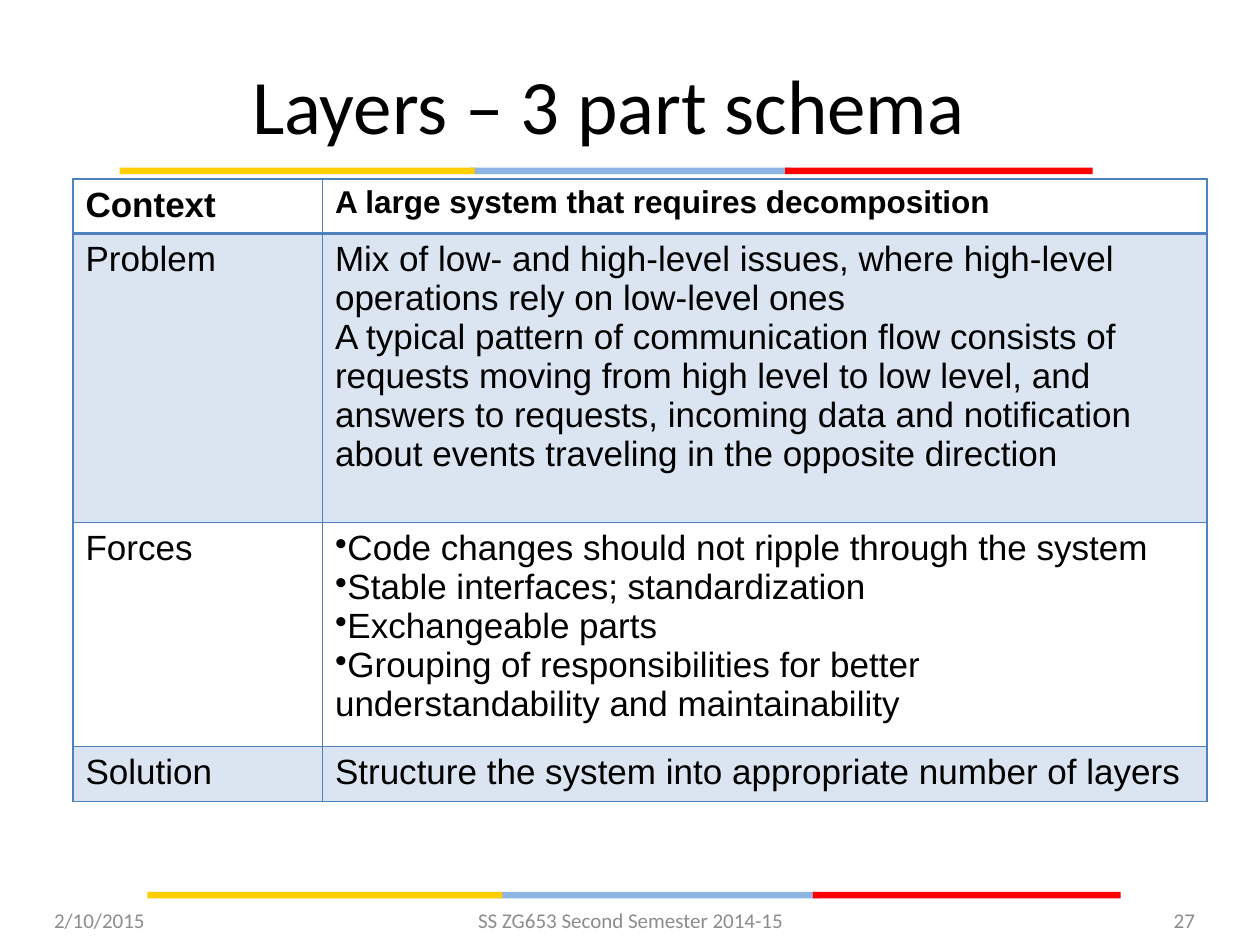
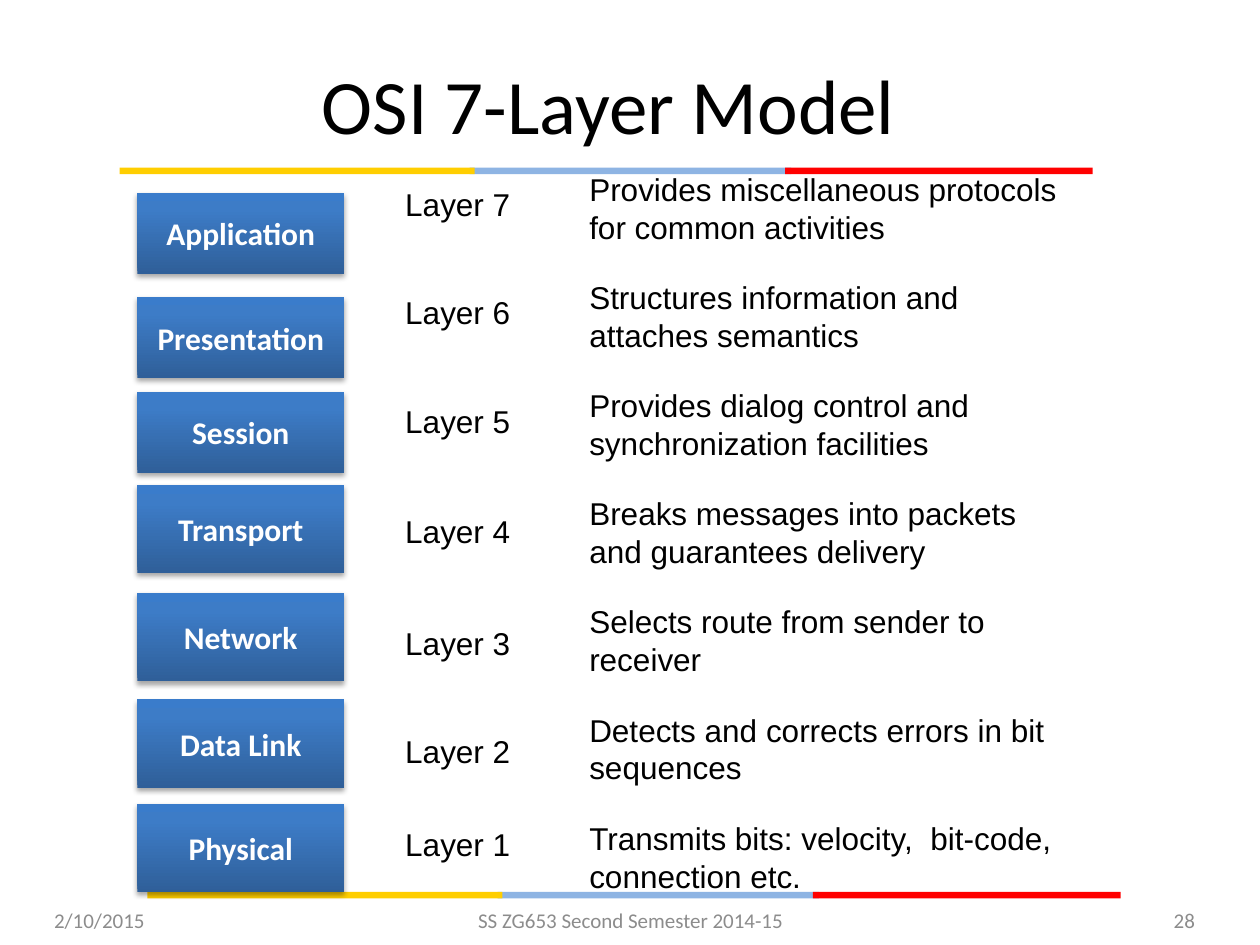
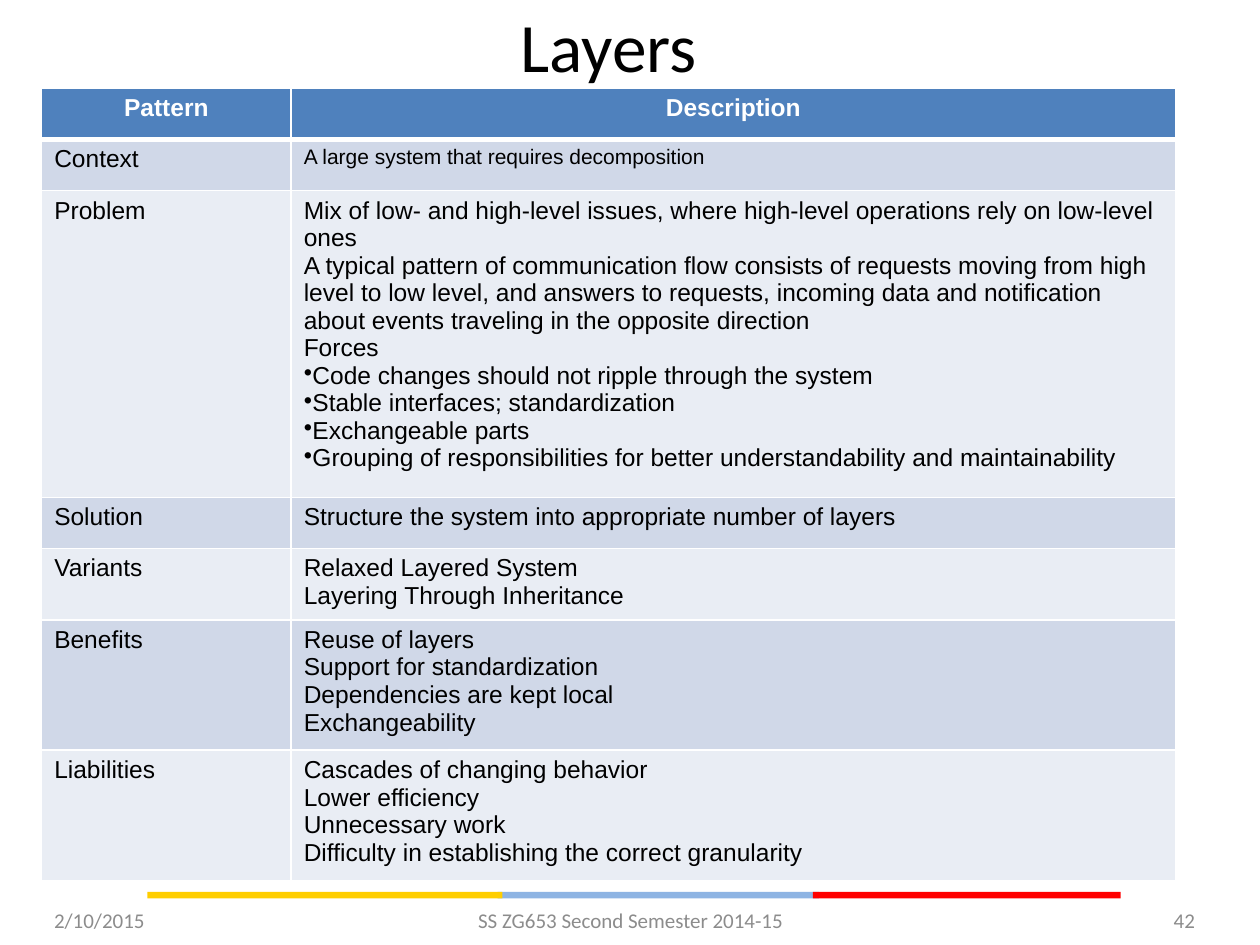
import copy
from collections import namedtuple

import pptx
import pptx.dml.color
import pptx.enum.shapes
import pptx.enum.text
import pptx.oxml
import pptx.oxml.ns
import pptx.util

Cm = pptx.util.Cm
Pt = pptx.util.Pt
RGB = pptx.dml.color.RGBColor
ALIGN = pptx.enum.text.PP_ALIGN
ANCHOR = pptx.enum.text.MSO_ANCHOR
Box = namedtuple("Box", "left top width height")

BLACK = RGB(0x00, 0x00, 0x00)
WHITE = RGB(0xFF, 0xFF, 0xFF)
GREY = RGB(0x8C, 0x8C, 0x8C)
YELLOW = RGB(0xFF, 0xCE, 0x00)
SKY = RGB(0x8E, 0xB4, 0xE3)
RED = RGB(0xFF, 0x00, 0x00)
BLUE = RGB(0x4F, 0x81, 0xBD)
BAND_DARK = RGB(0xD0, 0xD8, 0xE8)
BAND_LIGHT = RGB(0xE9, 0xED, 0xF4)
LAYER_GRADIENT = [
    (0, RGB(0x2F, 0x5F, 0x99)),
    (0.8, RGB(0x3D, 0x7C, 0xC7)),
    (1, RGB(0x3A, 0x7C, 0xCB)),
]

TITLE_BOX = Box(0.84, 0.79, 22.86, 2.62)
HIGH_TITLE_BOX = Box(0.84, 0.2, 22.86, 1.42)
FOOTER_BOX = Box(0.84, 18.03, 23.5, 1.02)
TABLE_COLUMNS = (5.03, 17.83)
ROW_HEIGHT = 1.03

CONTEXT = "A large system that requires decomposition"
PROBLEM = [
    "Mix of low- and high-level issues, where high-level operations rely on low-level ones",
    "A typical pattern of communication flow consists of requests moving from high level "
    "to low level, and answers to requests, incoming data and notification about events "
    "traveling in the opposite direction",
]
FORCES = [
    "•Code changes should not ripple through the system",
    "•Stable interfaces; standardization",
    "•Exchangeable parts",
    "•Grouping of responsibilities for better understandability and maintainability",
]
SOLUTION = "Structure the system into appropriate number of layers"

SCHEMA = [
    ("Context", [CONTEXT]),
    ("Problem", PROBLEM),
    ("Forces", FORCES),
    ("Solution", [SOLUTION]),
]
SUMMARY = [
    ("Pattern", ["Description"]),
    ("Context", [CONTEXT]),
    ("Problem", PROBLEM + ["Forces"] + FORCES),
    ("Solution", [SOLUTION]),
    ("Variants", ["Relaxed Layered System", "Layering Through Inheritance"]),
    ("Benefits", ["Reuse of layers", "Support for standardization",
                  "Dependencies are kept local", "Exchangeability"]),
    ("Liabilities", ["Cascades of changing behavior", "Lower efficiency",
                     "Unnecessary work",
                     "Difficulty in establishing the correct granularity"]),
]

# Name, block top, block height, label top, duty width, duty
OSI_LAYERS = [
    ("Application", 0.59, 1.63, 0.31, 10.19,
     "Provides miscellaneous protocols for common activities"),
    ("Presentation", 2.69, 1.63, 2.49, 9.19,
     "Structures information and attaches semantics"),
    ("Session", 4.6, 1.63, 4.68, 9.6,
     "Provides dialog control and synchronization facilities"),
    ("Transport", 6.48, 1.78, 6.89, 9.4,
     "Breaks messages into packets and guarantees delivery"),
    ("Network", 8.66, 1.78, 9.15, 9.4,
     "Selects route from sender to receiver"),
    ("Data Link", 10.8, 1.78, 11.33, 9.8,
     "Detects and corrects errors in bit sequences"),
    ("Physical", 12.9, 1.78, 13.21, 10.59,
     "Transmits bits: velocity,  bit-code, connection etc."),
]


def in_cm(box):
    """Turn a box of centimetre numbers into lengths."""
    return [Cm(length) for length in box]


def style(paragraph, size, font="Arial", color=BLACK, bold=False, align=ALIGN.LEFT):
    """Set the font and alignment of a paragraph."""
    paragraph.alignment = align
    paragraph.font.name = font
    paragraph.font.size = Pt(size)
    paragraph.font.bold = bold
    paragraph.font.color.rgb = color


def add_text(slide, box, text, size, anchor=ANCHOR.TOP, wrap=True, grow=False, **look):
    """Add a text box holding one paragraph."""
    frame = slide.shapes.add_textbox(*in_cm(box)).text_frame
    frame.word_wrap = wrap
    frame.vertical_anchor = anchor
    if grow:
        frame.auto_size = pptx.enum.text.MSO_AUTO_SIZE.SHAPE_TO_FIT_TEXT
    frame.text = text
    style(frame.paragraphs[0], size, **look)


def add_rectangle(slide, box):
    """Add a rectangle without outline or shadow."""
    rectangle = slide.shapes.add_shape(
        pptx.enum.shapes.MSO_SHAPE.RECTANGLE, *in_cm(box))
    rectangle.line.fill.background()
    rectangle.shadow.inherit = False
    return rectangle


def add_stripe(slide, left, top):
    """Draw the three-colour stripe from its left top corner."""
    for offset, width, color in [(7.06, 6.48, SKY), (13.42, 6.2, RED), (0, 7.16, YELLOW)]:
        part = add_rectangle(slide, Box(left + offset, top, width, 0.13))
        part.fill.solid()
        part.fill.fore_color.rgb = color


def add_footer(slide, box, number):
    """Write the date, course and slide number along the bottom."""
    for offset, width, text, align in [
        (0, 5.92, "2/10/2015", ALIGN.LEFT),
        (7.85, 8.05, "SS ZG653 Second Semester 2014-15", ALIGN.CENTER),
        (box.width - 5.92, 5.92, str(number), ALIGN.RIGHT),
    ]:
        add_text(slide, Box(box.left + offset, box.top, width, box.height), text, 12,
                 anchor=ANCHOR.MIDDLE, font="Calibri", color=GREY, align=align)


def add_base_slide(deck, title, number, title_box=TITLE_BOX, size=44, top_stripe=True):
    """Add a slide with its title, stripes and footer."""
    slide = deck.slides.add_slide(deck.slide_layouts[6])
    if top_stripe:
        add_stripe(slide, 2.41, 3.38)
    add_stripe(slide, 2.97, 17.98)
    add_text(slide, title_box, title, size, anchor=ANCHOR.MIDDLE,
             font="Calibri", align=ALIGN.CENTER)
    add_footer(slide, FOOTER_BOX, number)
    return slide


def set_borders(cell, color, top, bottom):
    """Draw the four borders of a cell, with widths in points."""
    sides = [("L", 1), ("R", 1), ("T", top), ("B", bottom)]
    for place, (side, width) in enumerate(sides):
        cell._tc.get_or_add_tcPr().insert(place, pptx.oxml.parse_xml(
            f'<a:ln{side} {pptx.oxml.ns.nsdecls("a")} w="{Pt(width)}">'
            f'<a:solidFill><a:srgbClr val="{color}"/></a:solidFill></a:ln{side}>'))


def fill_cell(cell, color, opacity=None):
    """Fill a cell, or leave it clear when there is no colour."""
    if color is None:
        cell.fill.background()
        return
    cell.fill.solid()
    cell.fill.fore_color.rgb = color
    if opacity:
        cell._tc.xpath(".//a:solidFill/a:srgbClr")[-1].append(pptx.oxml.parse_xml(
            f'<a:alpha {pptx.oxml.ns.nsdecls("a")} val="{opacity * 1000}"/>'))


def write_cell(cell, lines, size, **look):
    """Write one paragraph a line, with a bullet where the line starts with one."""
    cell.text_frame.text = "\n".join(line.lstrip("•") for line in lines)
    for paragraph, line in zip(cell.text_frame.paragraphs, lines):
        style(paragraph, size, **look)
        if line.startswith("•"):
            paragraph._p.get_or_add_pPr().insert(0, pptx.oxml.parse_xml(
                f'<a:buChar {pptx.oxml.ns.nsdecls("a")} char="•"/>'))


def add_pattern_table(slide, left, top, entries, heights, border, rule, fills, size,
                      context_size, header, opacity=None):
    """Add a two-column table of pattern parts, the first row set off by a rule."""
    box = Box(left, top, sum(TABLE_COLUMNS), sum(heights))
    table = slide.shapes.add_table(len(entries), 2, *in_cm(box)).table
    table.first_row = header["color"] == WHITE
    table.horz_banding = False
    for column, width in zip(table.columns, TABLE_COLUMNS):
        column.width = Cm(width)
    for index, (part, lines) in enumerate(entries):
        table.rows[index].height = Cm(heights[index])
        look = header if index == 0 else {}
        text_size = context_size if lines == [CONTEXT] else size
        for column, (content, points) in enumerate([([part], size), (lines, text_size)]):
            cell = table.cell(index, column)
            write_cell(cell, content, points, **look)
            fill_cell(cell, fills[index], opacity)
            set_borders(cell, border, rule if index == 1 else 1, rule if index == 0 else 1)


def add_layer_block(slide, box, name):
    """Add a shaded block carrying the name of a layer."""
    block = add_rectangle(slide, box)
    block.fill.gradient()
    block.fill.gradient_angle = 90
    stops = block.element.xpath(".//a:gsLst")[0]
    stops.append(copy.deepcopy(stops[-1]))
    for stop, (position, color) in zip(block.fill.gradient_stops, LAYER_GRADIENT):
        stop.position = position
        stop.color.rgb = color
    block.element.xpath("./p:spPr/a:effectLst")[0].append(pptx.oxml.parse_xml(
        f'<a:outerShdw {pptx.oxml.ns.nsdecls("a")} blurRad="{Pt(3.1)}" dist="{Pt(1.8)}" '
        'dir="5400000" rotWithShape="0"><a:srgbClr val="000000">'
        '<a:alpha val="35000"/></a:srgbClr></a:outerShdw>'))
    block.text_frame.text = name
    block.text_frame.vertical_anchor = ANCHOR.MIDDLE
    style(block.text_frame.paragraphs[0], 18, "Calibri", WHITE, True, ALIGN.CENTER)


def add_layer_stack(slide, left, top):
    """Place the named blocks, their layer numbers and their duties."""
    for index, (name, block_top, height, label_top, width, duty) in enumerate(OSI_LAYERS):
        add_layer_block(slide, Box(left, top + block_top, 4.17, height), name)
        add_text(slide, Box(left + 5.15, top + label_top, 2.64, 1.02),
                 f"Layer {len(OSI_LAYERS) - index}", 18, wrap=False, grow=True)
        add_text(slide, Box(left + 8.86, top + 2.18 * index, width, 1.8),
                 duty, 18, grow=True)


def main():
    """Build the three slides and save them."""
    deck = pptx.Presentation()
    deck.slide_width, deck.slide_height = Cm(25.4), Cm(19.05)

    schema = add_base_slide(deck, "Layers – 3 part schema", 27)
    add_pattern_table(schema, 1.47, 3.61, SCHEMA, [ROW_HEIGHT, 5.82, 4.52, ROW_HEIGHT],
                      BLUE, 2, [None, BLUE] * 2, 20, 18,
                      {"color": BLACK, "bold": True}, opacity=20)

    osi = add_base_slide(deck, "OSI 7-Layer Model", 28)
    add_layer_stack(osi, 2.77, 3.3)

    summary = add_base_slide(deck, "Layers", 42, HIGH_TITLE_BOX, 39.6, top_stripe=False)
    add_pattern_table(summary, 0.84, 1.78, SUMMARY, [ROW_HEIGHT] * len(SUMMARY),
                      WHITE, 3, [BLUE] + [BAND_DARK, BAND_LIGHT] * 3, 14, 12,
                      {"color": WHITE, "bold": True, "align": ALIGN.CENTER})

    deck.save("out.pptx")


if __name__ == "__main__":
    main()
